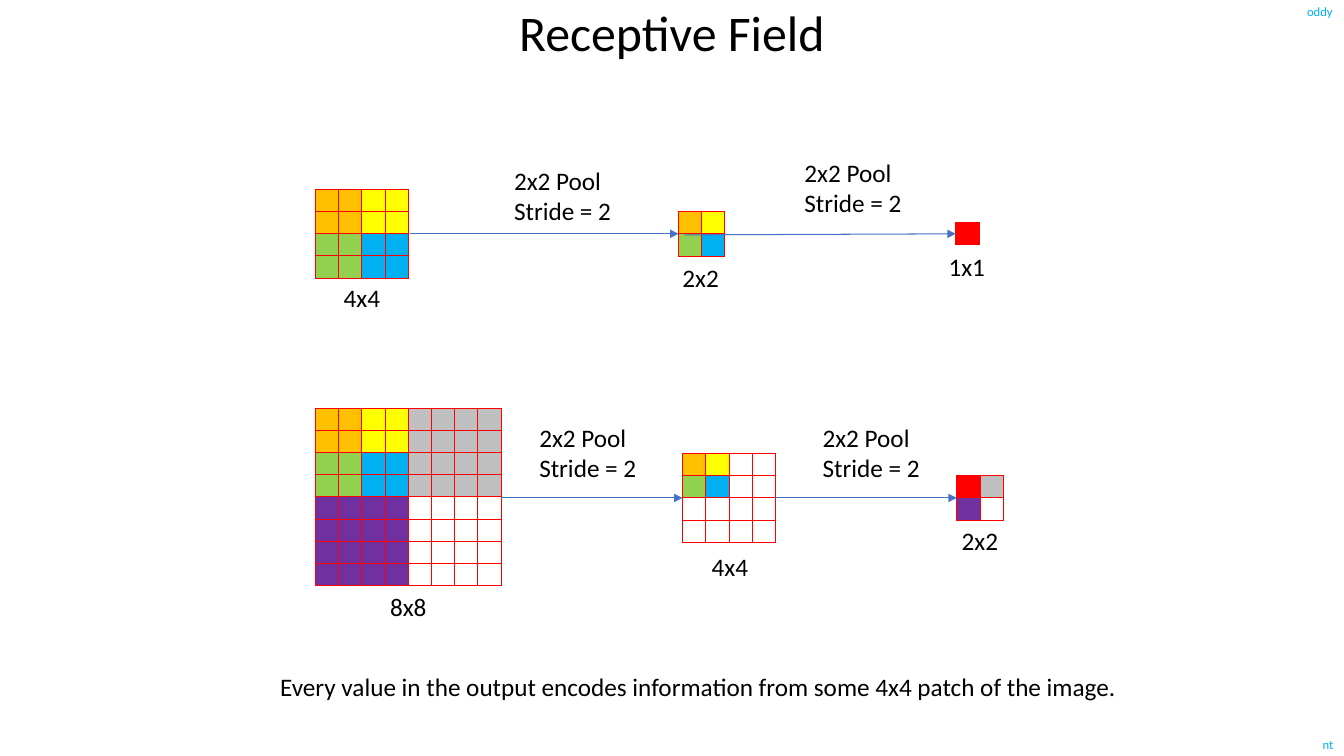
from lxml import etree
from pptx import Presentation
from pptx.dml.color import RGBColor
from pptx.enum.shapes import MSO_CONNECTOR
from pptx.enum.text import MSO_ANCHOR, PP_ALIGN
from pptx.oxml.ns import qn
from pptx.util import Inches, Pt

STRAIGHT = MSO_CONNECTOR.STRAIGHT
TOP, MIDDLE = MSO_ANCHOR.TOP, MSO_ANCHOR.MIDDLE
LEFT, CENTER = PP_ALIGN.LEFT, PP_ALIGN.CENTER
CELL_WIDTH, CELL_HEIGHT = 0.23, 0.22
FILLS = {"O": "FFC000", "Y": "FFFF00", "G": "92D050", "B": "00B0F0",
         "S": "BFBFBF", "P": "7030A0", "R": "FF0000"}


def color(value):
    return RGBColor.from_string(value)


def add_label(left, top, width, height, lines, size=18, ink="000000",
              align=LEFT, anchor=TOP):
    box = page.shapes.add_textbox(Inches(left), Inches(top), Inches(width), Inches(height))
    frame = box.text_frame
    frame.word_wrap = False
    frame.vertical_anchor = anchor
    frame.text = lines
    for para in frame.paragraphs:
        para.alignment = align
        for span in para.runs:
            span.font.name = "Calibri"
            span.font.size = Pt(size)
            span.font.color.rgb = color(ink)
    return box


deck = Presentation()
deck.slide_width, deck.slide_height = Inches(13.33), Inches(7.5)
page = deck.slides.add_slide(deck.slide_layouts[6])

add_label(13.01, 7.28, 0.32, 0.22, "nt", 9, "00B0F0", CENTER, MIDDLE)
add_label(12.85, 0, 0.48, 0.22, "oddy", 9, "00B0F0", CENTER, MIDDLE)
title = add_label(0.09, 0.08, 13.15, 0.54, "Receptive Field", 35.6, "000000", CENTER, MIDDLE)
title.text_frame.paragraphs[0].line_spacing = 0.9

patch = ["OY", "GB"]
enlarged_patch = ["".join(key * 2 for key in row) for row in patch for _ in range(2)]
image = [row + "SSSS" for row in enlarged_patch] + ["PPPP    "] * 4
pooled_image = [row + "  " for row in patch] + ["    "] * 2

grids = [
    (3.13, 4.05, image),
    (6.77, 4.5, pooled_image),
    (9.49, 4.72, ["RS", "P "]),
    (3.13, 1.88, enlarged_patch),
    (6.73, 2.1, patch),
    (9.48, 2.21, ["R"]),
]
for left, top, pattern in grids:
    count = len(pattern)
    table = page.shapes.add_table(
        count, count, Inches(left), Inches(top),
        Inches(count * CELL_WIDTH), Inches(count * CELL_HEIGHT)).table
    table.first_row = table.horz_banding = False
    for column in table.columns:
        column.width = Inches(CELL_WIDTH)
    for row_index, keys in enumerate(pattern):
        table.rows[row_index].height = Inches(CELL_HEIGHT)
        for column_index, key in enumerate(keys):
            cell = table.cell(row_index, column_index)
            cell.margin_left = cell.margin_right = 0
            cell.margin_top = cell.margin_bottom = 0
            para = cell.text_frame.paragraphs[0]
            etree.SubElement(para._p, qn("a:endParaRPr"), sz="800")
            properties = cell._tc.get_or_add_tcPr()
            for side in ("lnL", "lnR", "lnT", "lnB"):
                border = etree.SubElement(properties, qn("a:" + side), w="9525")
                paint = etree.SubElement(border, qn("a:solidFill"))
                etree.SubElement(paint, qn("a:srgbClr"), val="FF0000")
            if key in FILLS:
                cell.fill.solid()
                cell.fill.fore_color.rgb = color(FILLS[key])
            else:
                cell.fill.background()

size_labels = [
    (3.77, 5.82, "8x8"), (6.96, 5.42, "4x4"), (9.44, 5.16, "2x2"),
    (3.31, 2.75, "4x4"), (6.67, 2.55, "2x2"), (9.31, 2.44, "1x1"),
]
for left, top, name in size_labels:
    add_label(left, top, 0.57, 0.4, name)

for left, top in [(5.25, 4.14), (8.06, 4.14), (5, 1.59), (7.88, 1.51)]:
    add_label(left, top, 1.18, 0.71, "2x2 Pool\nStride = 2")

arrows = [
    (4.97, 4.94, 6.77, 4.94), (7.69, 4.94, 9.49, 4.94),
    (4.07, 2.32, 6.73, 2.32), (6.79, 2.33, 9.48, 2.32),
]
for ends in arrows:
    arrow = page.shapes.add_connector(STRAIGHT, *[Inches(value) for value in ends])
    arrow.line.color.rgb = color("4472C4")
    arrow.line.width = Pt(0.75)
    etree.SubElement(arrow.line._get_or_add_ln(), qn("a:tailEnd"), type="triangle")
    etree.SubElement(arrow._element.spPr, qn("a:effectLst"))

add_label(2.68, 6.61, 8.53, 0.4,
          "Every value in the output encodes information from some 4x4 patch of the image.")

deck.save("out.pptx")
